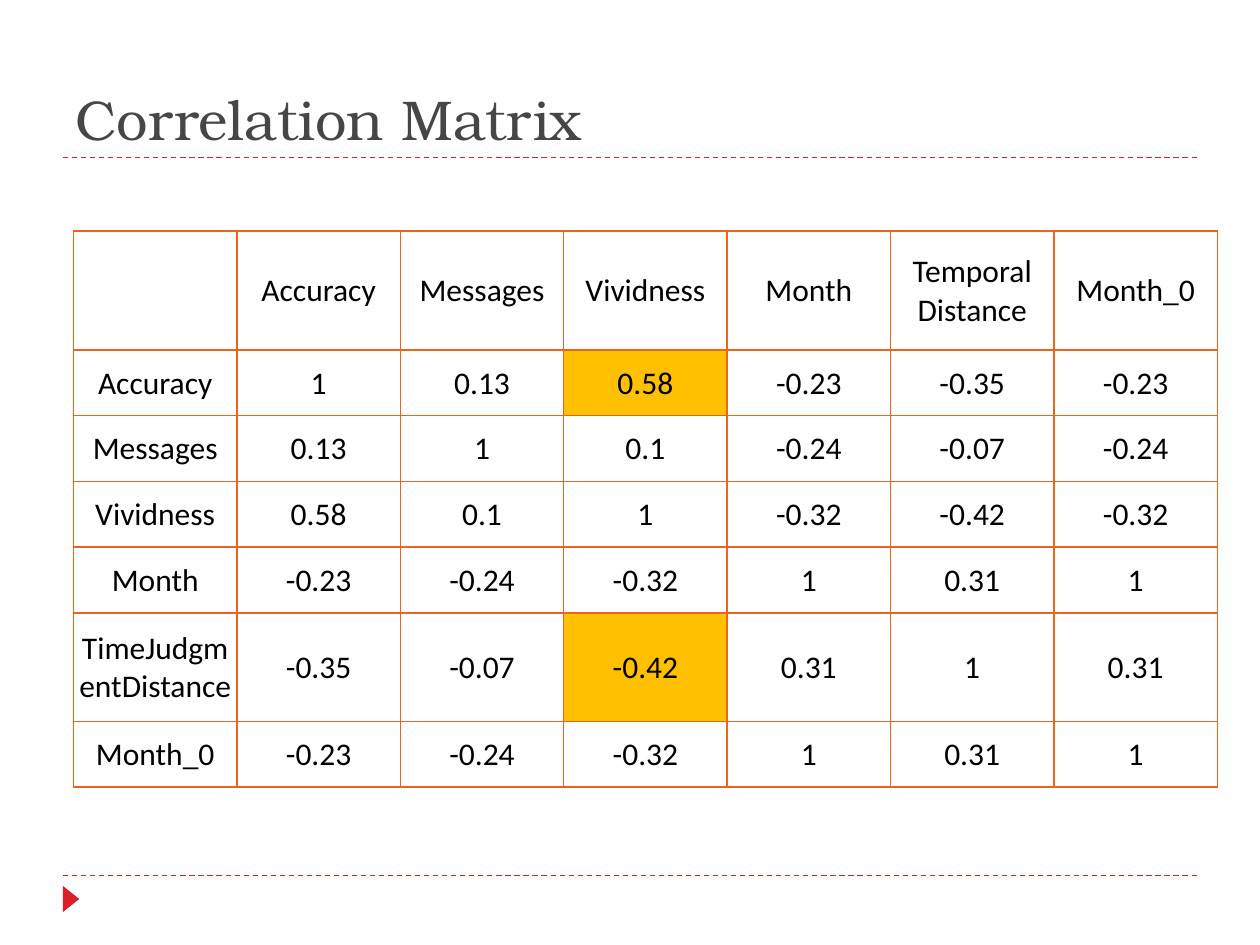
from lxml.etree import SubElement
from pptx import Presentation
from pptx.dml.color import RGBColor
from pptx.enum.dml import MSO_LINE
from pptx.enum.shapes import MSO_CONNECTOR, MSO_SHAPE
from pptx.enum.text import MSO_ANCHOR, PP_ALIGN
from pptx.oxml.ns import qn
from pptx.util import Pt

COLORS = {"title": "464646", "text": "000000", "accent": "DA1F28",
          "border": "EB641B", "highlight": "FFC000"}


class SlideBuilder:
    """Draws styled elements on the current slide, with lengths in points."""

    title_font = "TeX Gyre Bonum"
    body_font = "Calibri"

    def __init__(self, slide):
        self.s = slide

    def color(self, name):
        return RGBColor.from_string(COLORS[name])

    def format_text(self, p, font, size, color):
        for r in p.runs:
            r.font.name = font
            r.font.size = Pt(size)
            r.font.color.rgb = self.color(color)

    def title(self, text, x, y, w, h):
        tf = self.s.shapes.add_textbox(Pt(x), Pt(y), Pt(w), Pt(h)).text_frame
        tf.word_wrap = True
        tf.vertical_anchor = MSO_ANCHOR.BOTTOM
        tf.text = text
        self.format_text(tf.paragraphs[0], self.title_font, 32, "title")

    def rule(self, x1, x2, y):
        line = self.s.shapes.add_connector(MSO_CONNECTOR.STRAIGHT, Pt(x1), Pt(y), Pt(x2), Pt(y))
        line.line.color.rgb = self.color("accent")
        line.line.width = Pt(0.75)
        line.line.dash_style = MSO_LINE.DASH
        SubElement(line._element.spPr, qn("a:effectLst"))

    def triangle(self, x, y, w, h, rotation):
        sp = self.s.shapes.add_shape(MSO_SHAPE.ISOSCELES_TRIANGLE, Pt(x), Pt(y), Pt(w), Pt(h))
        sp.rotation = rotation
        sp.shadow.inherit = False
        sp.fill.solid()
        sp.fill.fore_color.rgb = self.color("accent")
        sp.line.fill.background()

    def cell_borders(self, cell):
        tc_pr = cell._tc.get_or_add_tcPr()
        for side in ("lnL", "lnR", "lnT", "lnB"):
            ln = SubElement(tc_pr, qn(f"a:{side}"), w=str(Pt(1)))
            fill = SubElement(ln, qn("a:solidFill"))
            SubElement(fill, qn("a:srgbClr"), val=COLORS["border"])

    def cell(self, cell, text, highlighted):
        cell.margin_left = cell.margin_right = cell.margin_top = Pt(0.7)
        cell.margin_bottom = Pt(0)
        cell.vertical_anchor = MSO_ANCHOR.MIDDLE
        self.cell_borders(cell)
        if highlighted:
            cell.fill.solid()
            cell.fill.fore_color.rgb = self.color("highlight")
        else:
            cell.fill.background()
        cell.text_frame.text = text
        p = cell.text_frame.paragraphs[0]
        p.alignment = PP_ALIGN.CENTER
        self.format_text(p, self.body_font, 18, "text")

    def table(self, rows, x, y, col_width, row_heights, highlights):
        cols = len(rows[0])
        frame = self.s.shapes.add_table(len(rows), cols, Pt(x), Pt(y),
                                        Pt(col_width * cols), Pt(sum(row_heights)))
        table = frame.table
        table.first_row = table.horz_banding = False
        for col in table.columns:
            col.width = Pt(col_width)
        for i, (values, height) in enumerate(zip(rows, row_heights)):
            table.rows[i].height = Pt(height)
            for j, value in enumerate(values):
                self.cell(table.cell(i, j), value, (i, j) in highlights)


prs = Presentation()
prs.slide_width, prs.slide_height = Pt(720), Pt(540)
slide = SlideBuilder(prs.slides.add_slide(prs.slide_layouts[6]))

for rule_y in (500.4, 90):
    slide.rule(36, 684, rule_y)
slide.triangle(33.1, 509, 15, 9.4, 90)
slide.title("Correlation Matrix", 36, 12, 648, 78)

correlations = [
    ["", "Accuracy", "Messages", "Vividness", "Month", "Temporal Distance", "Month_0"],
    ["Accuracy", "1", "0.13", "0.58", "-0.23", "-0.35", "-0.23"],
    ["Messages", "0.13", "1", "0.1", "-0.24", "-0.07", "-0.24"],
    ["Vividness", "0.58", "0.1", "1", "-0.32", "-0.42", "-0.32"],
    ["Month", "-0.23", "-0.24", "-0.32", "1", "0.31", "1"],
    ["TimeJudgmentDistance", "-0.35", "-0.07", "-0.42", "0.31", "1", "0.31"],
    ["Month_0", "-0.23", "-0.24", "-0.32", "1", "0.31", "1"],
]
row_heights = [67.9] + [37.6] * 4 + [62] + [37.6]
slide.table(correlations, 42, 132, 93.4, row_heights, {(1, 3), (5, 3)})

prs.save("out.pptx")
